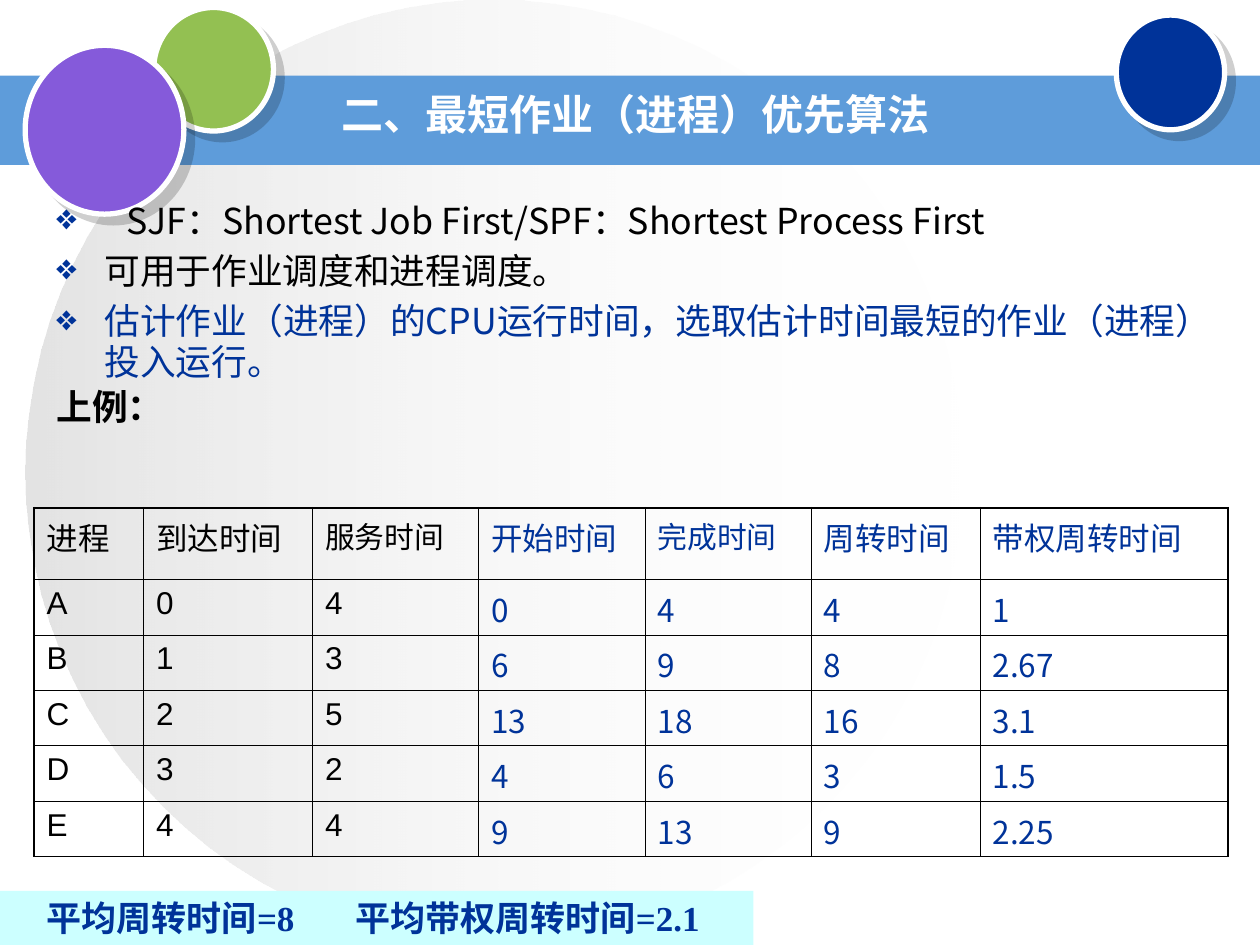
from dataclasses import dataclass

from lxml.etree import SubElement
from pptx import Presentation
from pptx.dml.color import RGBColor
from pptx.enum.shapes import MSO_SHAPE
from pptx.enum.text import MSO_ANCHOR, PP_ALIGN
from pptx.oxml.ns import qn
from pptx.util import Inches, Pt


@dataclass(frozen=True)
class Theme:
    white: str = "FFFFFF"
    black: str = "000000"
    navy: str = "003399"
    band: str = "5E9CDA"
    green: str = "93C052"
    purple: str = "855ADA"
    pale: str = "CCFFFF"
    glow: tuple = (("FEFEFE", 0), ("C0C0C0", 44))
    sans: str = "Arial"
    han: str = "Noto Sans CJK SC"
    serif: str = "Times New Roman"
    title: float = 24
    body: float = 20.4
    cell: float = 18
    small: float = 17
    note: float = 20
    thin: float = 0.45
    thick: float = 1.08


T = Theme()

POINTS = [
    ("SJF：Shortest Job First/SPF：Shortest Process First", 0.56, PP_ALIGN.LEFT, T.black),
    ("可用于作业调度和进程调度。", 0.38, PP_ALIGN.LEFT, T.black),
    ("估计作业（进程）的CPU运行时间，选取估计时间最短的作业（进程）投入运行。",
     0.38, PP_ALIGN.JUSTIFY, T.navy),
]
ROWS = [
    ["进程", "到达时间", "服务时间", "开始时间", "完成时间", "周转时间", "带权周转时间"],
    ["A", "0", "4", "0", "4", "4", "1"],
    ["B", "1", "3", "6", "9", "8", "2.67"],
    ["C", "2", "5", "13", "18", "16", "3.1"],
    ["D", "3", "2", "4", "6", "3", "1.5"],
    ["E", "4", "4", "9", "13", "9", "2.25"],
]
WIDTHS = [0.87, 1.34, 1.32, 1.32, 1.32, 1.34, 1.97]
GIVEN = 3  # columns known before scheduling
SMALL = (2, 4)  # columns with a smaller heading


def node(parent, tag, **attrs):
    return SubElement(parent, qn(tag), {k: str(v) for k, v in attrs.items()})


def assign(target, values):
    for name, value in values.items():
        setattr(target, name, value)


def write(para, text, size, color, font=T.han, bold=False, **layout):
    assign(para, layout)
    run = para.add_run()
    run.text = text
    assign(run.font, {"size": Pt(size), "name": font, "bold": bold})
    run.font.color.rgb = RGBColor.from_string(color)
    node(run._r.get_or_add_rPr(), "a:ea", typeface=T.han)


def shape(slide, kind, box, color=None):
    item = slide.shapes.add_shape(kind, *map(Inches, box))
    item.shadow.inherit = False
    item.line.fill.background()
    if color:
        item.fill.solid()
        item.fill.fore_color.rgb = RGBColor.from_string(color)
    return item


def glow(slide, box):
    """Large disc that fades out to the right."""
    disc = shape(slide, MSO_SHAPE.OVAL, box)
    disc.fill.gradient()
    disc.fill.gradient_angle = 180
    for stop, (color, _) in zip(disc.fill.gradient_stops, T.glow):
        stop.color.rgb = RGBColor.from_string(color)
    colors = disc._element.spPr.iter(qn("a:srgbClr"))
    for color, (_, alpha) in zip(colors, T.glow):
        node(color, "a:alpha", val=alpha * 1000)


def ball(slide, box, color):
    """Disc with a white rim and a hard shadow."""
    disc = shape(slide, MSO_SHAPE.OVAL, box, color)
    disc.line.color.rgb = RGBColor.from_string(T.white)
    disc.line.width = Pt(3)
    effects = disc._element.spPr.find(qn("a:effectLst"))
    shade = node(effects, "a:outerShdw", blurRad=0, dist=Pt(7.1),
                 dir=45 * 60000, algn="ctr", rotWithShape=0)
    node(node(shade, "a:srgbClr", val=T.black), "a:alpha", val=19000)


def frame(slide, box, anchor=MSO_ANCHOR.TOP):
    text = slide.shapes.add_textbox(*map(Inches, box)).text_frame
    assign(text, {"word_wrap": True, "vertical_anchor": anchor})
    return text


def header(slide, box):
    x, y, w, h = box
    shape(slide, MSO_SHAPE.RECTANGLE, box, T.band)
    ball(slide, (x + 1.22, y - 0.54, 0.95, 0.98), T.green)
    ball(slide, (x + 8.86, y - 0.48, 0.86, 0.91), T.navy)
    ball(slide, (x + 0.2, y - 0.24, 1.26, 1.34), T.purple)
    text = frame(slide, (x + 0.27, y - 0.12, w - 0.45, h + 0.2), MSO_ANCHOR.MIDDLE)
    write(text.paragraphs[0], "二、最短作业（进程）优先算法", T.title, T.white,
          T.sans, True, alignment=PP_ALIGN.CENTER, line_spacing=0.85)


def bullet(para, indent):
    props = para._p.get_or_add_pPr()
    props.set("marL", str(Inches(indent)))
    props.set("indent", str(-Inches(indent)))
    node(node(props, "a:buClr"), "a:srgbClr", val=T.navy)
    node(props, "a:buChar", char="❖")


def points(slide, box):
    text = frame(slide, box)
    para = text.paragraphs[0]
    for line, indent, align, color in POINTS:
        write(para, line, T.body, color, alignment=align,
              line_spacing=0.95, space_before=Pt(5.5))
        bullet(para, indent)
        para = text.add_paragraph()
    write(para, "上例：", T.body, T.black, T.sans, True,
          line_spacing=0.8, space_before=Pt(5.5))


def border(cell, edges):
    """Draw each side, thick where it lies on the rim of the table."""
    props = cell._tc.get_or_add_tcPr()
    for spot, (side, rim) in enumerate(edges.items()):
        line = node(props, f"a:ln{side}", w=Pt(T.thick if rim else T.thin))
        node(node(line, "a:solidFill"), "a:srgbClr", val=T.black)
        props.insert(spot, line)


def grid(slide, box):
    table = slide.shapes.add_table(len(ROWS), len(WIDTHS), *map(Inches, box)).table
    assign(table, {"first_row": False, "horz_banding": False})
    for col, width in zip(table.columns, WIDTHS):
        col.width = Inches(width)
    for r, values in enumerate(ROWS):
        table.rows[r].height = Inches(0.44 if r else 0.57)
        for c, value in enumerate(values):
            cell = table.cell(r, c)
            cell.fill.background()
            given = c < GIVEN
            size = T.small if r == 0 and c in SMALL else T.cell
            write(cell.text_frame.paragraphs[0], value, size,
                  T.black if given else T.navy, T.sans if given else T.han)
            border(cell, {"L": c == 0, "R": c == len(WIDTHS) - 1,
                          "T": r == 0, "B": r == len(ROWS) - 1})


def footer(slide, box):
    bar = shape(slide, MSO_SHAPE.RECTANGLE, box, T.pale)
    assign(bar.text_frame, {"word_wrap": True, "margin_left": Inches(0.37),
                            "vertical_anchor": MSO_ANCHOR.MIDDLE})
    para = bar.text_frame.paragraphs[0]
    write(para, "平均周转时间=8\t平均带权周转时间=2.1", T.note, T.navy,
          T.serif, True, alignment=PP_ALIGN.LEFT)
    tabs = node(para._p.get_or_add_pPr(), "a:tabLst")
    node(tabs, "a:tab", pos=Inches(2.45), algn="l")


def main():
    deck = Presentation()
    assign(deck, {"slide_width": Inches(10), "slide_height": Inches(7.5)})
    slide = deck.slides.add_slide(deck.slide_layouts[6])
    glow(slide, (0.2, 0, 7.44, 7.5))
    header(slide, (0, 0.6, 10, 0.71))
    points(slide, (0.35, 1.55, 9.36, 1.89))
    grid(slide, (0.27, 4.03, 9.48, 2.77))
    footer(slide, (0, 7.07, 5.98, 0.43))
    deck.save("out.pptx")


if __name__ == "__main__":
    main()
